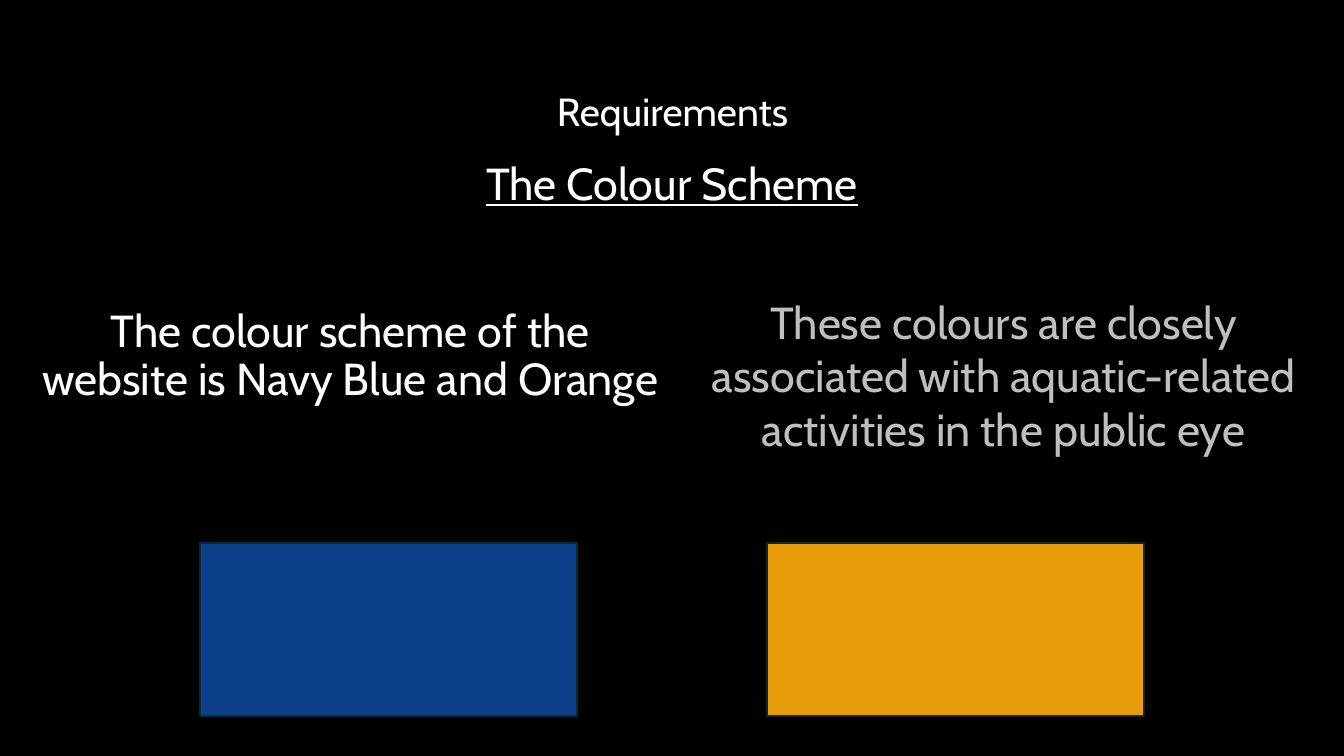
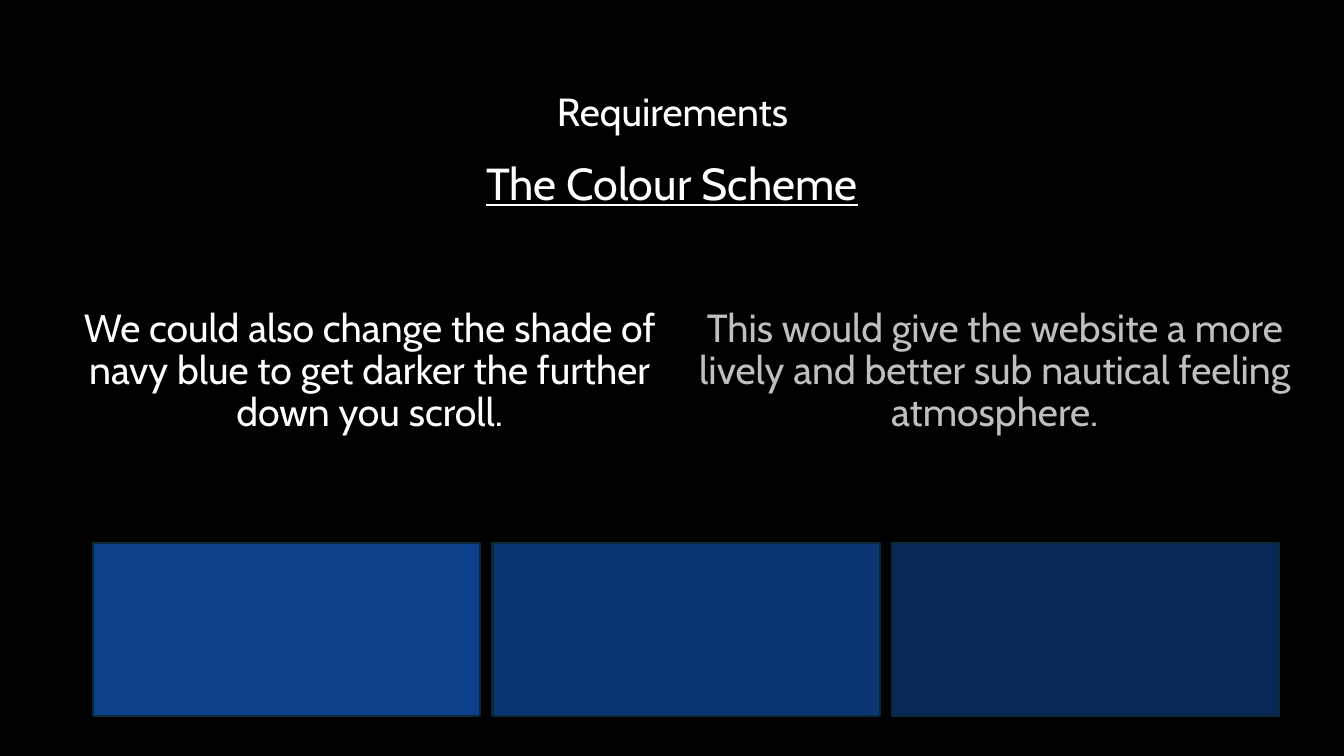
from pptx import Presentation
from pptx.dml.color import RGBColor
from pptx.enum.shapes import MSO_SHAPE as Preset
from pptx.enum.text import MSO_ANCHOR as Anchor, PP_ALIGN as Align
from pptx.util import Inches, Pt

FONT = "Cabin"
BLANK_LAYOUT = 6
COLORS = {
    "background": "000000",
    "text": "FFFFFF",
    "muted": "BFBFBF",
    "outline": "092A39",
    "navy": "0D408B",
    "navy_darker": "0B3573",
    "navy_darkest": "082858",
    "orange": "E69C08",
}


def color(name):
    return RGBColor.from_string(COLORS[name])


def add_text(slide, box, text, size, color_name="text", spacing=0.9,
             anchor=Anchor.TOP, underline=False):
    """Place one centred paragraph in a box of left, top, width, height."""
    frame = slide.shapes.add_textbox(*map(Inches, box)).text_frame
    frame.word_wrap = True
    frame.vertical_anchor = anchor
    paragraph = frame.paragraphs[0]
    paragraph.alignment = Align.CENTER
    paragraph.line_spacing = spacing
    run = paragraph.add_run()
    run.text = text
    run.font.name = FONT
    run.font.size = Pt(size)
    run.font.underline = underline
    run.font.color.rgb = color(color_name)


def add_swatches(slide, box, swatch_width, color_names):
    """Spread equal swatches across the box, with equal gaps between them."""
    left, top, width, height = box
    pitch = (width - swatch_width) / (len(color_names) - 1)
    for index, name in enumerate(color_names):
        swatch = slide.shapes.add_shape(
            Preset.RECTANGLE, Inches(left + index * pitch), Inches(top),
            Inches(swatch_width), Inches(height))
        swatch.shadow.inherit = False
        swatch.fill.solid()
        swatch.fill.fore_color.rgb = color(name)
        swatch.line.color.rgb = color("outline")
        swatch.line.width = Pt(1.5)


def add_requirements_slide(presentation):
    slide = presentation.slides.add_slide(
        presentation.slide_layouts[BLANK_LAYOUT])
    slide.background.fill.solid()
    slide.background.fill.fore_color.rgb = color("background")
    add_text(slide, (0.92, 0.4, 11.5, 1.45), "Requirements", 28,
             anchor=Anchor.MIDDLE)
    add_text(slide, (2.11, 1.56, 9.11, 1.03), "The Colour Scheme", 32,
             underline=True)
    return slide


def add_scheme_slide(presentation):
    slide = add_requirements_slide(presentation)
    add_text(slide, (0.28, 3.01, 6.39, 1.56),
             "The colour scheme of the website is Navy Blue and Orange", 32)
    add_text(slide, (6.86, 2.87, 6.19, 2.26),
             "These colours are closely associated with aquatic-related "
             "activities in the public eye", 32, "muted", spacing=1.0)
    add_swatches(slide, (1.98, 5.39, 9.37, 1.71), 3.74, ("navy", "orange"))


def add_shades_slide(presentation):
    slide = add_requirements_slide(presentation)
    add_text(slide, (0.47, 3.01, 6.39, 1.38),
             "We could also change the shade of navy blue to get darker "
             "the further down you scroll.", 28)
    add_text(slide, (6.67, 3.01, 6.39, 1.38),
             "This would give the website a more lively and better sub "
             "nautical feeling atmosphere.", 28, "muted")
    add_swatches(slide, (0.92, 5.39, 11.77, 1.71), 3.84,
                 ("navy", "navy_darker", "navy_darkest"))


def main():
    presentation = Presentation()
    presentation.slide_width = Inches(13.33)
    presentation.slide_height = Inches(7.5)
    add_scheme_slide(presentation)
    add_shades_slide(presentation)
    presentation.save("out.pptx")


if __name__ == "__main__":
    main()
